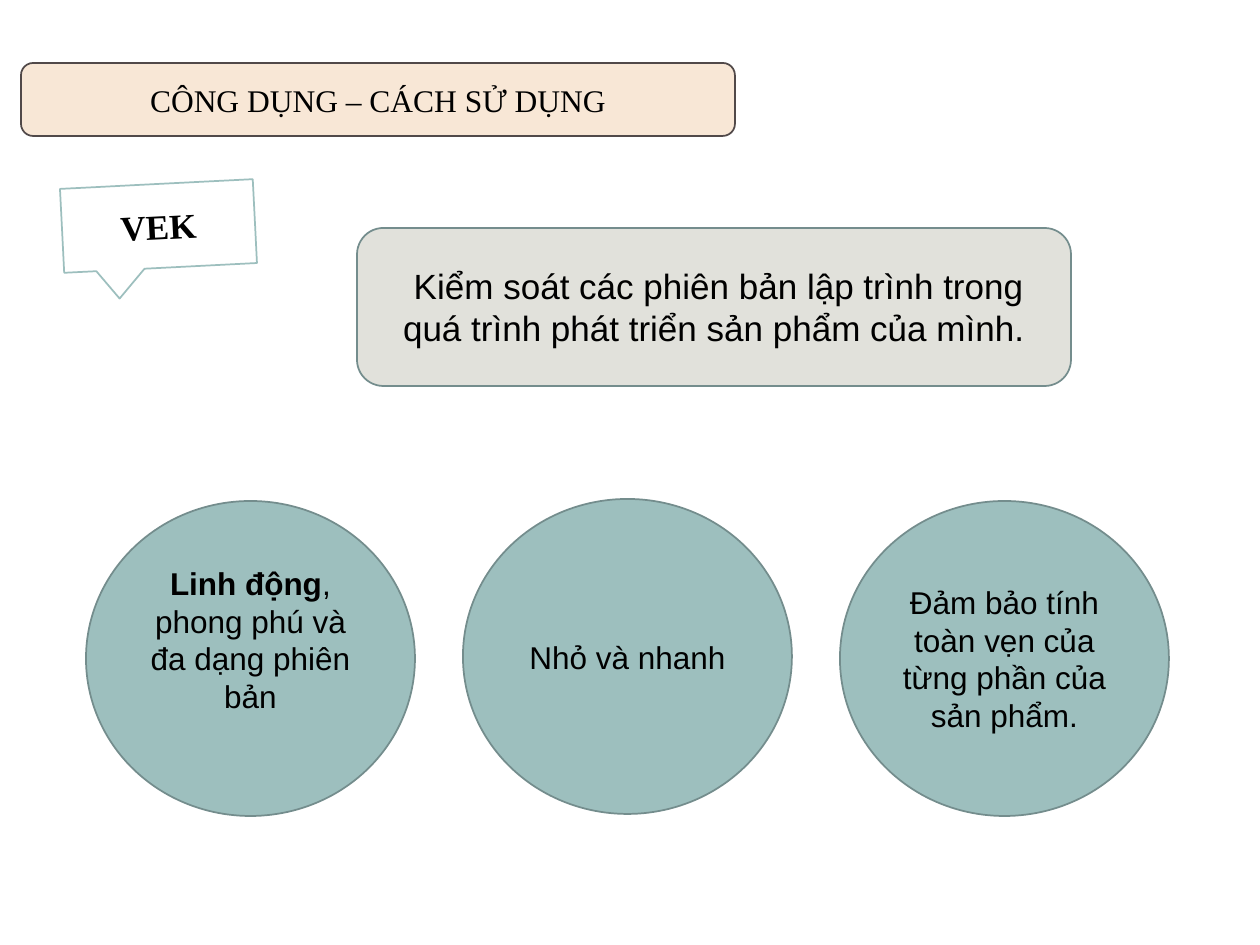
from pptx import Presentation
from pptx import util as u
from pptx.dml import color
from pptx.enum import shapes, text

SCALE = 914400 / 126
HUES = {"ink": "000000", "peach": "F8E7D6", "brown": "514949", "white": "FFFFFF",
        "teal": "9DBFBE", "edge": "748D8D", "stone": "E1E1DB"}
KINDS = shapes.MSO_SHAPE


def px(count):
    """Turn pixels into EMU."""
    return u.Emu(round(count * SCALE))


def hue(name):
    """Look up a colour by name."""
    return color.RGBColor.from_string(HUES[name])


def panel(slide, kind, box, fill, line, runs, size, font="Arial"):
    """Draw a filled shape with centred (words, bold) runs."""
    shape = slide.shapes.add_shape(kind, *map(px, box))
    shape.shadow.inherit = False
    shape.fill.solid()
    shape.fill.fore_color.rgb = hue(fill)
    shape.line.color.rgb = hue(line)
    shape.line.width = u.Pt(1)
    frame = shape.text_frame
    frame.word_wrap = True
    frame.vertical_anchor = text.MSO_ANCHOR.MIDDLE
    para = frame.paragraphs[0]
    para.alignment = text.PP_ALIGN.CENTER
    for words, bold in runs:
        run = para.add_run()
        run.text = words
        run.font.name = font
        run.font.size = u.Pt(size)
        run.font.bold = bold
        run.font.color.rgb = hue("ink")
    return shape


def title(slide, box):
    """Draw the heading bar."""
    panel(slide, KINDS.ROUNDED_RECTANGLE, box, "peach", "brown",
          [("CÔNG DỤNG – CÁCH SỬ DỤNG", False)], 18, "Times New Roman")


def label(slide, box):
    """Draw the tilted callout that names the tool."""
    shape = panel(slide, KINDS.RECTANGULAR_CALLOUT, box, "white", "teal",
                  [("VEK", True)], 20, "Times New Roman")
    shape.rotation = -2.9
    shape.adjustments[0] = -0.22
    shape.adjustments[1] = 0.84


def purpose(slide, box):
    """Draw the statement of what the tool is for."""
    words = " Kiểm soát các phiên bản lập trình trong quá trình phát triển sản phẩm của mình."
    panel(slide, KINDS.ROUNDED_RECTANGLE, box, "stone", "edge", [(words, False)], 20)


def traits(slide, box):
    """Draw three evenly spaced circles, the middle one slightly raised."""
    left, top, width, height = box
    size, rise, lift = 329, 2, 38
    step = (width - size) / 2
    items = [
        ([("Linh động", True), (", phong phú và đa dạng phiên bản", False)], 0, lift),
        ([("Nhỏ và nhanh", False)], rise, 0),
        ([("Đảm bảo tính toàn vẹn của từng phần của sản phẩm.", False)], 0, 0),
    ]
    for index, (runs, up, pad) in enumerate(items):
        spot = (left + index * step, top - up, size, height)
        shape = panel(slide, KINDS.OVAL, spot, "teal", "edge", runs, 18)
        shape.text_frame.margin_bottom += px(pad)


def main():
    """Build and save the slide."""
    deck = Presentation()
    deck.slide_width, deck.slide_height = px(1260), px(945)
    slide = deck.slides.add_slide(deck.slide_layouts[6])
    title(slide, (21, 63, 714, 73))
    label(slide, (62, 184, 193, 84))
    purpose(slide, (357, 228, 714, 158))
    traits(slide, (86, 501, 1083, 315))
    deck.save("out.pptx")


if __name__ == "__main__":
    main()
